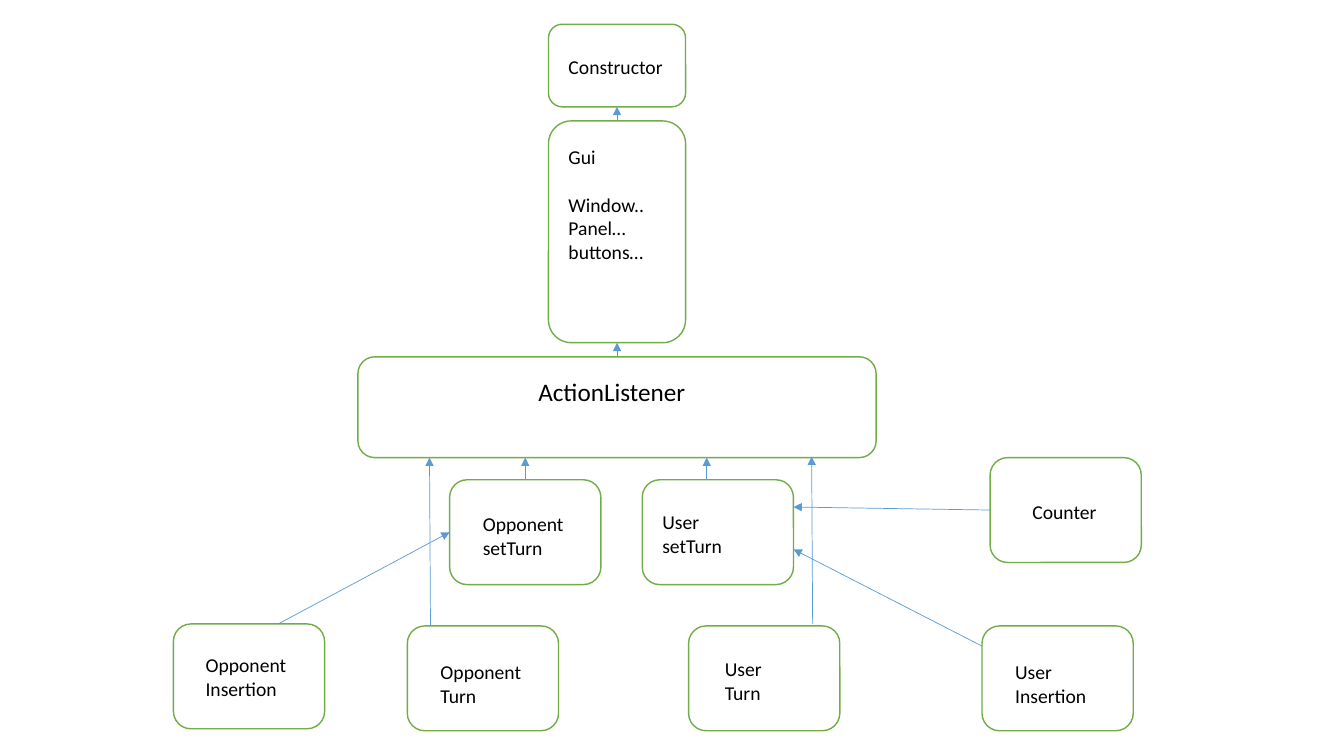
"""Build a slide that shows how the parts of a turn-based game program call each other."""
import pptx
import pptx.util
import pptx.dml.color
import pptx.enum.shapes
import pptx.oxml
import pptx.oxml.ns
from pptx.util import Inches, Pt

THEME = {
    "font": "Calibri",
    "text": "000000",
    "box_fill": "FFFFFF",
    "box_line": "70AD47",
    "arrow": "5B9BD5",
    "body_size": 14,
    "title_size": 18,
    "heading_gap": 17,
    "box_width": 1,
    "arrow_width": 0.5,
}

TOP_SIZE = (1.36, 0.82)
GUI_SIZE = (1.36, 2.2)
LISTENER_SIZE = (5.14, 1)
STEP_SIZE = (1.5, 1.04)
TOP_LABEL = (1.14, 0.34)
GUI_LABEL = (1.14, 1.28)
LISTENER_LABEL = (1.68, 0.4)
STEP_LABEL = (1.05, 0.57)
COUNTER_LABEL = (1.05, 0.34)

PARTS = [
    (["Constructor"], (5.44, 0.24), TOP_SIZE, (5.54, 0.5), TOP_LABEL),
    (["Gui", "Window..", "Panel…", "buttons…"], (5.44, 1.2), GUI_SIZE, (5.54, 1.39), GUI_LABEL),
    (["ActionListener"], (3.55, 3.54), LISTENER_SIZE, (5.24, 3.68), LISTENER_LABEL),
    (["Opponent setTurn"], (4.46, 4.76), STEP_SIZE, (4.69, 5.03), STEP_LABEL),
    (["User", "setTurn"], (6.37, 4.76), STEP_SIZE, (6.47, 5.01), STEP_LABEL),
    (["Opponent Insertion"], (1.72, 6.19), STEP_SIZE, (1.94, 6.43), STEP_LABEL),
    (["User", "Insertion"], (9.74, 6.21), STEP_SIZE, (9.97, 6.5), STEP_LABEL),
    (["Counter"], (9.82, 4.54), STEP_SIZE, (10.14, 4.91), COUNTER_LABEL),
    (["Opponent Turn"], (4.04, 6.21), STEP_SIZE, (4.27, 6.5), STEP_LABEL),
    (["User", "Turn"], (6.83, 6.21), STEP_SIZE, (7.09, 6.47), STEP_LABEL),
]

CALLS = [
    ((6.12, 1.2), (6.12, 1.06)),
    ((6.12, 3.54), (6.12, 3.4)),
    ((5.21, 4.76), (5.21, 4.54)),
    ((7.01, 4.76), (7.01, 4.54)),
    ((4.27, 6.21), (4.26, 4.54)),
    ((8.06, 6.19), (8.05, 4.53)),
    ((2.76, 6.19), (4.46, 5.28)),
    ((9.74, 6.41), (7.87, 5.45)),
    ((9.82, 5.06), (7.87, 5.03)),
]


def color(role):
    return pptx.dml.color.RGBColor.from_string(THEME[role])


def inches(*lengths):
    return [Inches(length) for length in lengths]


def add_box(slide, corner, size):
    rounded = pptx.enum.shapes.MSO_SHAPE.ROUNDED_RECTANGLE
    box = slide.shapes.add_shape(rounded, *inches(*corner, *size))
    box.shadow.inherit = False
    box.fill.solid()
    box.fill.fore_color.rgb = color("box_fill")
    box.line.color.rgb = color("box_line")
    box.line.width = Pt(THEME["box_width"])


def add_call(slide, caller, target):
    straight = pptx.enum.shapes.MSO_CONNECTOR.STRAIGHT
    call = slide.shapes.add_connector(straight, *inches(*caller, *target))
    call.line.color.rgb = color("arrow")
    call.line.width = Pt(THEME["arrow_width"])
    arrowhead = pptx.oxml.parse_xml(f'<a:tailEnd {pptx.oxml.ns.nsdecls("a")} type="triangle"/>')
    call.line._get_or_add_ln().append(arrowhead)
    no_effects = pptx.oxml.parse_xml(f'<a:effectLst {pptx.oxml.ns.nsdecls("a")}/>')
    call._element.spPr.append(no_effects)


def add_label(slide, lines, corner, size):
    frame = slide.shapes.add_textbox(*inches(*corner, *size)).text_frame
    frame.word_wrap = True
    frame.text = "\n".join(lines)
    for paragraph in frame.paragraphs:
        paragraph.font.name = THEME["font"]
        paragraph.font.color.rgb = color("text")
        role = "title_size" if lines == ["ActionListener"] else "body_size"
        paragraph.font.size = Pt(THEME[role])
    if lines[0] == "Gui":
        frame.paragraphs[0].space_after = Pt(THEME["heading_gap"])


deck = pptx.Presentation()
deck.slide_width, deck.slide_height = inches(13.33, 7.5)
diagram = deck.slides.add_slide(deck.slide_layouts[6])
for _, box_corner, box_size, _, _ in PARTS:
    add_box(diagram, box_corner, box_size)
for caller, target in CALLS:
    add_call(diagram, caller, target)
for lines, _, _, label_corner, label_size in PARTS:
    add_label(diagram, lines, label_corner, label_size)
deck.save("out.pptx")
